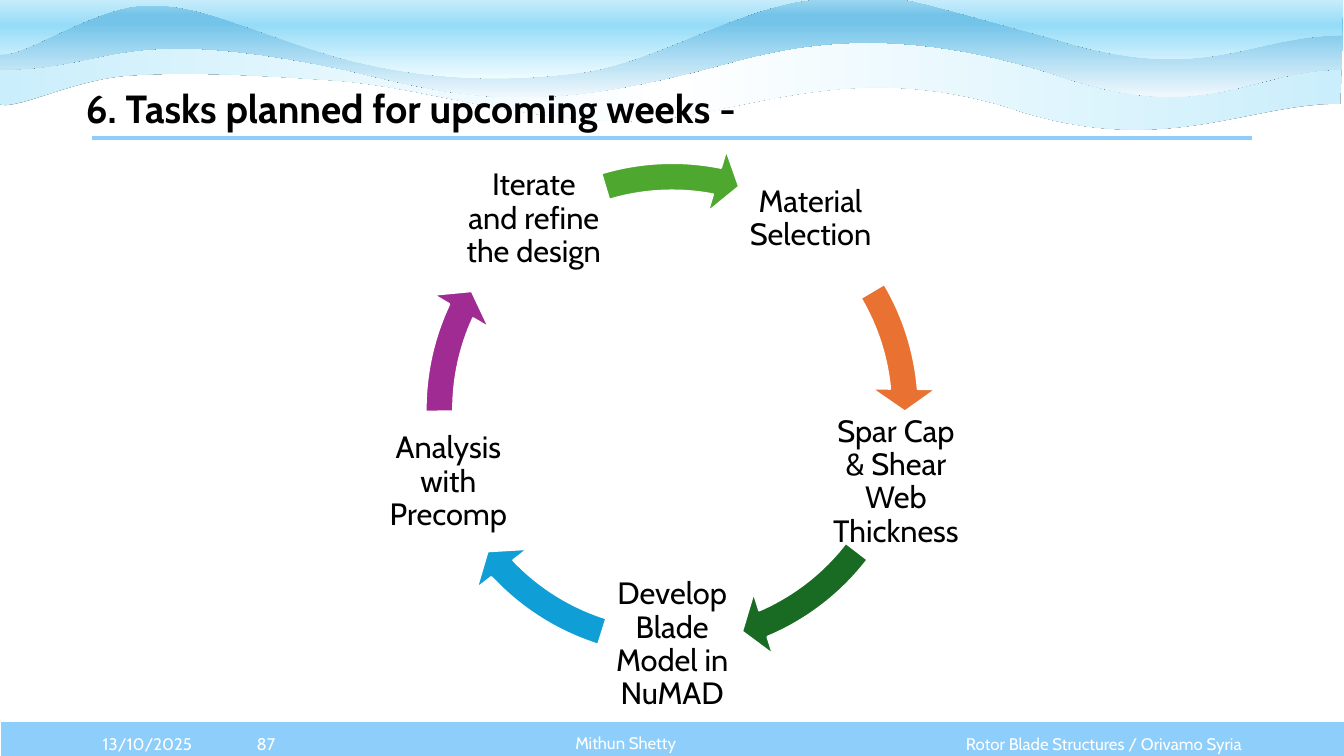
from dataclasses import dataclass
from math import cos, radians, sin

from lxml.etree import SubElement
from pptx import Presentation
from pptx.dml.color import RGBColor
from pptx.enum.shapes import MSO_AUTO_SHAPE_TYPE as ShapeKind, MSO_CONNECTOR as LineKind
from pptx.enum.text import MSO_ANCHOR as Anchor, MSO_AUTO_SIZE as AutoSize, PP_ALIGN as Align
from pptx.oxml.ns import qn
from pptx.shapes.autoshape import Shape
from pptx.slide import Slide
from pptx.util import Cm, Pt

FONT = "Cabin"
COLORS = {
    "white": "FFFFFF",
    "black": "000000",
    "sky": "8ECEFA",
    "orange": "E97132",
    "green": "196B24",
    "blue": "0F9ED5",
    "purple": "A02B93",
    "lime": "4EA72E",
    "pale": "CAEEFB",
    "haze": "A2D8F0",
    "water": "74C4E9",
    "mist": "F0F8FD",
    "azure": "96DCF8",
    "ice": "EFFCFF",
}
WAVE_UNIT = Cm(0.0254)
CENTER_X, CENTER_Y, RADIUS = 16.94, 10.32, 5.93
RING_SIZE, TASK_SIZE = 13.36, 3.56
FIRST_ANGLE = -54

Point = tuple[int, int]


@dataclass(frozen=True)
class Wave:
    left: int
    top: int
    width: int
    height: int
    curves: list[Point]
    top_edge: list[Point]
    stops: list[tuple[int, str]]
    angle: int


@dataclass(frozen=True)
class Label:
    text: str
    left: float
    top: float
    width: float
    height: float
    size: int = 12
    color: str = "white"
    align: Align = Align.LEFT
    anchor: Anchor = Anchor.MIDDLE
    bold: bool = False
    spacing: float = 1.0


@dataclass(frozen=True)
class Task:
    text: str
    color: str
    arrow_end: float
    arrow_start: float


WAVES = [
    Wave(
        -4, 30, 1336, 98,
        [(1330, 103), (1237, 102), (1152, 159), (999, 106), (827, 54), (721, 124), (610, 120),
         (499, 116), (421, 87), (335, 80), (249, 74), (183, 71), (127, 75), (71, 79),
         (14, 111), (-2, 103), (-2, 80), (-4, 53), (-4, 30)],
        [(313, 31), (652, 34), (941, 32), (1332, 34)],
        [(0, "pale"), (50, "white"), (100, "pale")], 0,
    ),
    Wave(
        0, -2, 1333, 98,
        [(1332, 69), (1239, 69), (1196, 127), (1044, 73), (871, 19), (773, 49), (706, 67),
         (528, 114), (459, 97), (346, 70), (113, 21), (115, 69), (0, 69), (0, 46), (1, 23),
         (1, -1)],
        [(313, 0), (654, -2), (946, -1), (1333, 3)],
        [(0, "haze"), (17, "water"), (26, "water"), (100, "mist")], 90,
    ),
    Wave(
        -3, -28, 1336, 106,
        [(1332, 35), (1239, 35), (1196, 86), (1044, 38), (872, -9), (891, -7), (813, -1),
         (735, 4), (653, 62), (576, 72), (498, 82), (424, 79), (347, 60), (258, 36), (207, 5),
         (150, 5), (92, 4), (22, 61), (-3, 53), (-2, 32), (1, -6), (1, -27)],
        [(313, -26), (654, -28), (946, -27), (1333, -24)],
        [(0, "white"), (50, "azure"), (100, "ice")], 90,
    ),
]

LABELS = [
    Label("13/10/2025", 2.34, 18.24, 3.1, 1.02),
    Label("Rotor Blade Structures / Orivamo Syria", 23.55, 18.24, 8, 1.02, align=Align.RIGHT),
    Label("87", 5.41, 18.24, 2.59, 1.02, align=Align.CENTER),
    Label("Mithun Shetty", 8, 18.24, 15.54, 1.02, align=Align.CENTER, spacing=0.9),
    Label("6. Tasks planned for upcoming weeks -", 1.91, 2.01, 19.28, 1.45, 28, "black",
          anchor=Anchor.TOP, bold=True),
]

TASKS = [
    Task("Material Selection", "orange", 212.943, 197.653),
    Task("Spar Cap & Shear Web Thickness", "green", 40.158, 22.525),
    Task("Develop Blade Model in NuMAD", "blue", 82.119, 64.486),
    Task("Analysis with Precomp", "purple", 122.99, 107.701),
    Task("Iterate and refine the design", "lime", 168.667, 151.976),
]


def rgb(name: str) -> RGBColor:
    return RGBColor.from_string(COLORS[name])


def curve_outline(shape: Shape, wave: Wave) -> None:
    outline = next(shape._element.spPr.iter(qn("a:path")))
    for segment in list(outline):
        outline.remove(segment)

    def add_segment(tag: str, points: list[Point]) -> None:
        segment = SubElement(outline, qn(tag))
        for x, y in points:
            SubElement(segment, qn("a:pt"), x=str((x - wave.left) * WAVE_UNIT),
                       y=str((y - wave.top) * WAVE_UNIT))

    add_segment("a:moveTo", wave.curves[:1])
    for first in range(1, len(wave.curves), 3):
        add_segment("a:cubicBezTo", wave.curves[first:first + 3])
    for corner in wave.top_edge:
        add_segment("a:lnTo", [corner])
    add_segment("a:close", [])


def draw_wave(page: Slide, wave: Wave) -> None:
    right, bottom = wave.left + wave.width, wave.top + wave.height
    builder = page.shapes.build_freeform(wave.left, wave.top, scale=WAVE_UNIT)
    builder.add_line_segments([(right, wave.top), (right, bottom), (wave.left, bottom)])
    shape = builder.convert_to_shape()
    shape.line.fill.background()
    shape.shadow.inherit = False
    properties = shape._element.spPr
    outline = next(properties.iter(qn("a:path")))
    outline.set("w", str(wave.width * WAVE_UNIT))
    outline.set("h", str(wave.height * WAVE_UNIT))
    curve_outline(shape, wave)
    gradient = SubElement(properties, qn("a:gradFill"), rotWithShape="1")
    properties.find(qn("a:custGeom")).addnext(gradient)
    stop_list = SubElement(gradient, qn("a:gsLst"))
    for position, color in wave.stops:
        stop = SubElement(stop_list, qn("a:gs"), pos=str(position * 1000))
        SubElement(stop, qn("a:srgbClr"), val=COLORS[color])
    SubElement(gradient, qn("a:lin"), ang=str(wave.angle * 60000), scaled="0")
    effects = properties.find(qn("a:effectLst"))
    shadow = SubElement(effects, qn("a:outerShdw"), blurRad="0", dist="0", dir="0")
    SubElement(shadow, qn("a:srgbClr"), val=COLORS["black"])


def draw_shape(page: Slide, kind: ShapeKind, color: str, left: float, top: float,
               width: float, height: float) -> Shape:
    shape = page.shapes.add_shape(kind, Cm(left), Cm(top), Cm(width), Cm(height))
    shape.shadow.inherit = False
    shape.fill.solid()
    shape.fill.fore_color.rgb = rgb(color)
    shape.line.color.rgb = rgb("white")
    shape.line.width = Pt(1.5)
    return shape


def draw_rule(page: Slide) -> None:
    rule = page.shapes.add_connector(
        LineKind.STRAIGHT, Cm(2.33), Cm(3.48), Cm(31.55), Cm(3.48))
    rule.line.color.rgb = rgb("sky")
    rule.line.width = Pt(3)
    SubElement(rule._element.spPr, qn("a:effectLst"))


def draw_label(page: Slide, label: Label) -> Shape:
    box = page.shapes.add_textbox(
        Cm(label.left), Cm(label.top), Cm(label.width), Cm(label.height))
    frame = box.text_frame
    frame.word_wrap = True
    frame.auto_size = AutoSize.NONE
    frame.vertical_anchor = label.anchor
    para = frame.paragraphs[0]
    para.text = label.text
    para.alignment = label.align
    para.line_spacing = label.spacing
    para.font.name = FONT
    para.font.size = Pt(label.size)
    para.font.bold = label.bold
    para.font.color.rgb = rgb(label.color)
    return box


def draw_task(page: Slide, task: Task, angle: float) -> None:
    left = CENTER_X + RADIUS * cos(radians(angle)) - TASK_SIZE / 2
    top = CENTER_Y + RADIUS * sin(radians(angle)) - TASK_SIZE / 2
    box = draw_label(page, Label(task.text, left, top, TASK_SIZE, TASK_SIZE, 22, "black",
                                 Align.CENTER, spacing=0.9))
    frame = box.text_frame
    frame.margin_left = frame.margin_right = frame.margin_top = frame.margin_bottom = Cm(0.08)
    arrow = draw_shape(page, ShapeKind.CIRCULAR_ARROW, task.color, CENTER_X - RING_SIZE / 2,
                       CENTER_Y - RING_SIZE / 2, RING_SIZE, RING_SIZE)
    settings = (0.052, 3.357, task.arrow_end, task.arrow_start, 0.061)
    for index, value in enumerate(settings):
        arrow.adjustments[index] = value


def main() -> None:
    deck = Presentation()
    deck.slide_width, deck.slide_height = Cm(33.87), Cm(19.05)
    page = deck.slides.add_slide(deck.slide_layouts[6])
    draw_shape(page, ShapeKind.RECTANGLE, "sky", 0, 18.16, 33.9, 1.02)
    for wave in WAVES:
        draw_wave(page, wave)
    draw_rule(page)
    for label in LABELS:
        draw_label(page, label)
    for index, task in enumerate(TASKS):
        draw_task(page, task, FIRST_ANGLE + index * 360 / len(TASKS))
    deck.save("out.pptx")


if __name__ == "__main__":
    main()
